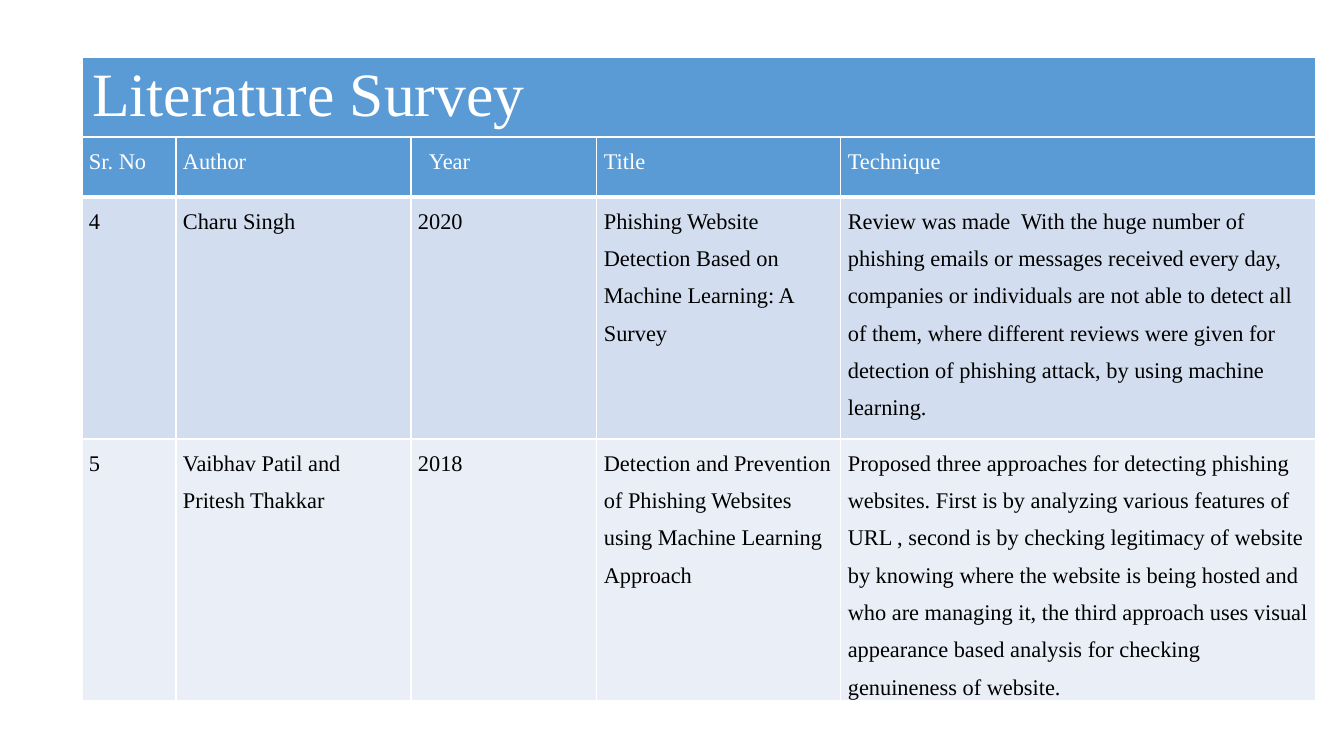
from typing import NamedTuple

import pptx
import pptx.dml.color
import pptx.enum.text
import pptx.oxml
import pptx.oxml.ns
import pptx.util

SCALE = 914400 / 100.8
FONT = "Times New Roman"
WHITE, BLACK, BLUE = "FFFFFF", "000000", "5B9BD5"
ALIGN = pptx.enum.text.PP_ALIGN
LEFT, WIDTH = 82, 1234
PAD, INDENT = 7, 18
THIN, THICK = 1, 3


class Column(NamedTuple):
    head: str
    width: int
    inset: int = PAD


class Row(NamedTuple):
    height: int
    fill: str
    ink: str
    align: ALIGN
    top: int
    bottom: int
    texts: list[str]


COLUMNS = [
    Column("Sr. No", 94),
    Column("Author", 235),
    Column("Year", 186, INDENT),
    Column("Title", 244),
    Column("Technique", 475),
]
ROWS = [
    Row(60, BLUE, WHITE, ALIGN.JUSTIFY, THIN, THICK,
        [column.head for column in COLUMNS]),
    Row(242, "D2DEEF", BLACK, ALIGN.LEFT, THICK, THIN, [
        "4",
        "Charu Singh",
        "2020",
        "Phishing Website Detection Based on Machine Learning: A Survey",
        "Review was made  With the huge number of phishing emails or messages "
        "received every day, companies or individuals are not able to detect "
        "all of them, where different reviews were given for detection of "
        "phishing attack, by using machine learning.",
    ]),
    Row(261, "EAEFF7", BLACK, ALIGN.LEFT, THIN, THIN, [
        "5",
        "Vaibhav Patil and Pritesh Thakkar",
        "2018",
        "Detection and Prevention of Phishing Websites using Machine Learning "
        "Approach",
        "Proposed three approaches for detecting phishing websites. First is "
        "by analyzing various features of URL , second is by checking "
        "legitimacy of website by knowing where the website is being hosted "
        "and who are managing it, the third approach uses visual appearance "
        "based analysis for checking genuineness of website.",
    ]),
]


def px(count: int) -> pptx.util.Emu:
    return pptx.util.Emu(round(count * SCALE))


def color(code: str) -> pptx.dml.color.RGBColor:
    return pptx.dml.color.RGBColor.from_string(code)


def paint(shape, code: str) -> None:
    shape.fill.solid()
    shape.fill.fore_color.rgb = color(code)


def write(frame, text: str, size: int, ink: str, align: ALIGN,
          spacing: float) -> None:
    frame.text = text
    line = frame.paragraphs[0]
    line.alignment = align
    line.line_spacing = spacing
    font = line.runs[0].font
    font.name, font.size, font.bold = FONT, pptx.util.Pt(size), False
    font.color.rgb = color(ink)


def border(cell, row: Row) -> None:
    """Rule all four sides of a cell in white."""
    props = cell._tc.get_or_add_tcPr()
    sides = {"L": THIN, "R": THIN, "T": row.top, "B": row.bottom}
    for side, width in sides.items():
        props.append(pptx.oxml.parse_xml(
            f'<a:ln{side} {pptx.oxml.ns.nsdecls("a")} '
            f'w="{pptx.util.Pt(width)}"><a:solidFill>'
            f'<a:srgbClr val="{WHITE}"/></a:solidFill></a:ln{side}>'))


def draw_title(slide) -> None:
    title = slide.shapes.title
    title.left, title.top = px(LEFT), px(57)
    title.width, title.height = px(WIDTH), px(80)
    paint(title, BLUE)
    title.line.color.rgb = color(WHITE)
    title.line.width = pptx.util.Pt(1.5)
    frame = title.text_frame
    frame.auto_size = pptx.enum.text.MSO_AUTO_SIZE.NONE
    frame.vertical_anchor = pptx.enum.text.MSO_ANCHOR.MIDDLE
    write(frame, "Literature Survey", 44, WHITE, ALIGN.LEFT, 0.9)


def draw_cell(cell, text: str, row: Row, inset: int) -> None:
    cell.margin_left, cell.margin_right = px(inset), px(PAD)
    cell.margin_top = cell.margin_bottom = 0
    border(cell, row)
    paint(cell, row.fill)
    write(cell.text_frame, text, 16, row.ink, row.align, 1.5)


def draw_table(slide) -> None:
    height = sum(row.height for row in ROWS)
    table = slide.shapes.add_table(
        len(ROWS), len(COLUMNS),
        px(LEFT), px(137), px(WIDTH), px(height)).table
    for index, column in enumerate(COLUMNS):
        table.columns[index].width = px(column.width)
    for down, row in enumerate(ROWS):
        table.rows[down].height = px(row.height)
        for across, text in enumerate(row.texts):
            inset = COLUMNS[across].inset if down == 0 else PAD
            draw_cell(table.cell(down, across), text, row, inset)


def main() -> None:
    deck = pptx.Presentation()
    deck.slide_width, deck.slide_height = px(1344), px(756)
    slide = deck.slides.add_slide(deck.slide_layouts.get_by_name("Title Only"))
    draw_title(slide)
    draw_table(slide)
    deck.save("out.pptx")


if __name__ == "__main__":
    main()
